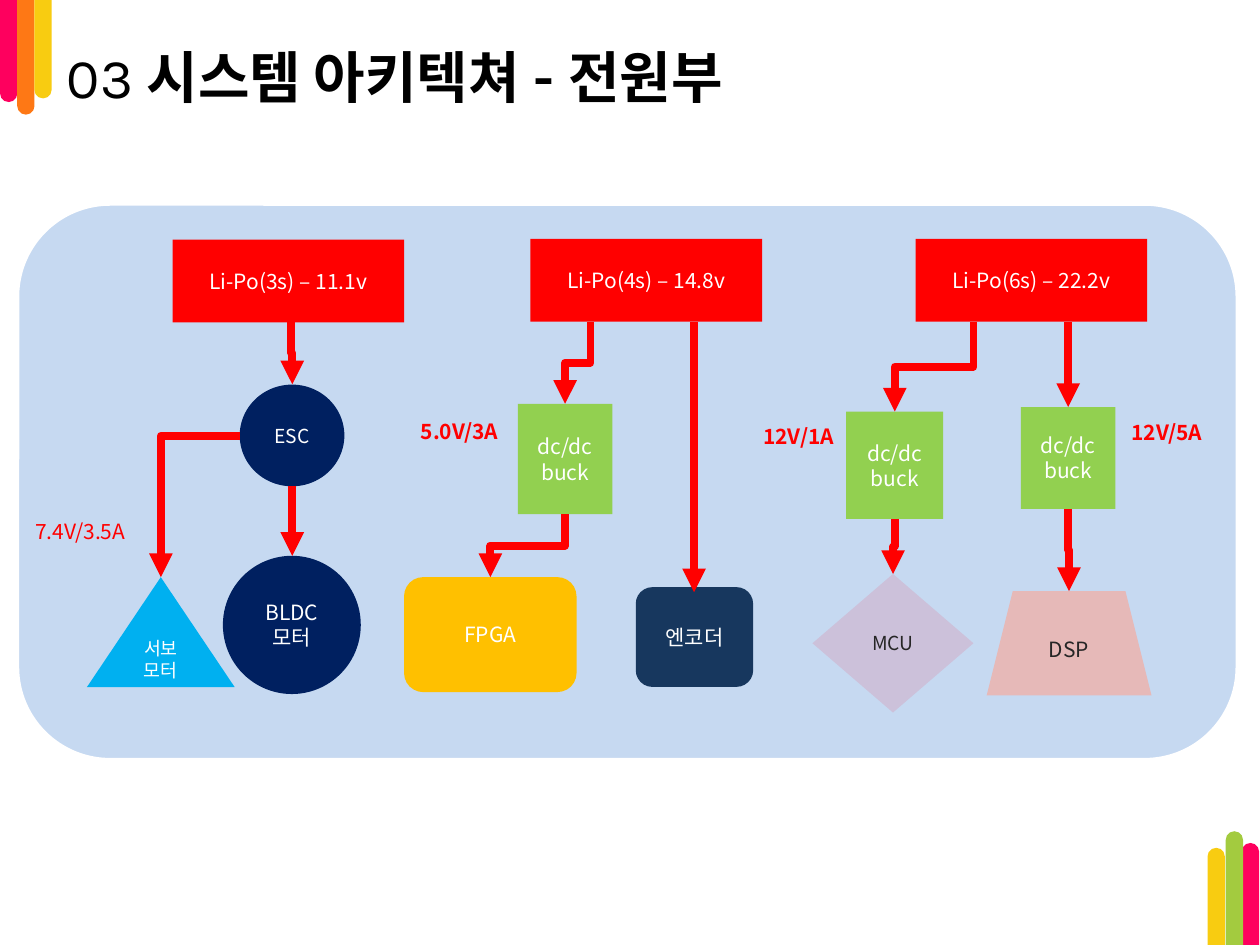
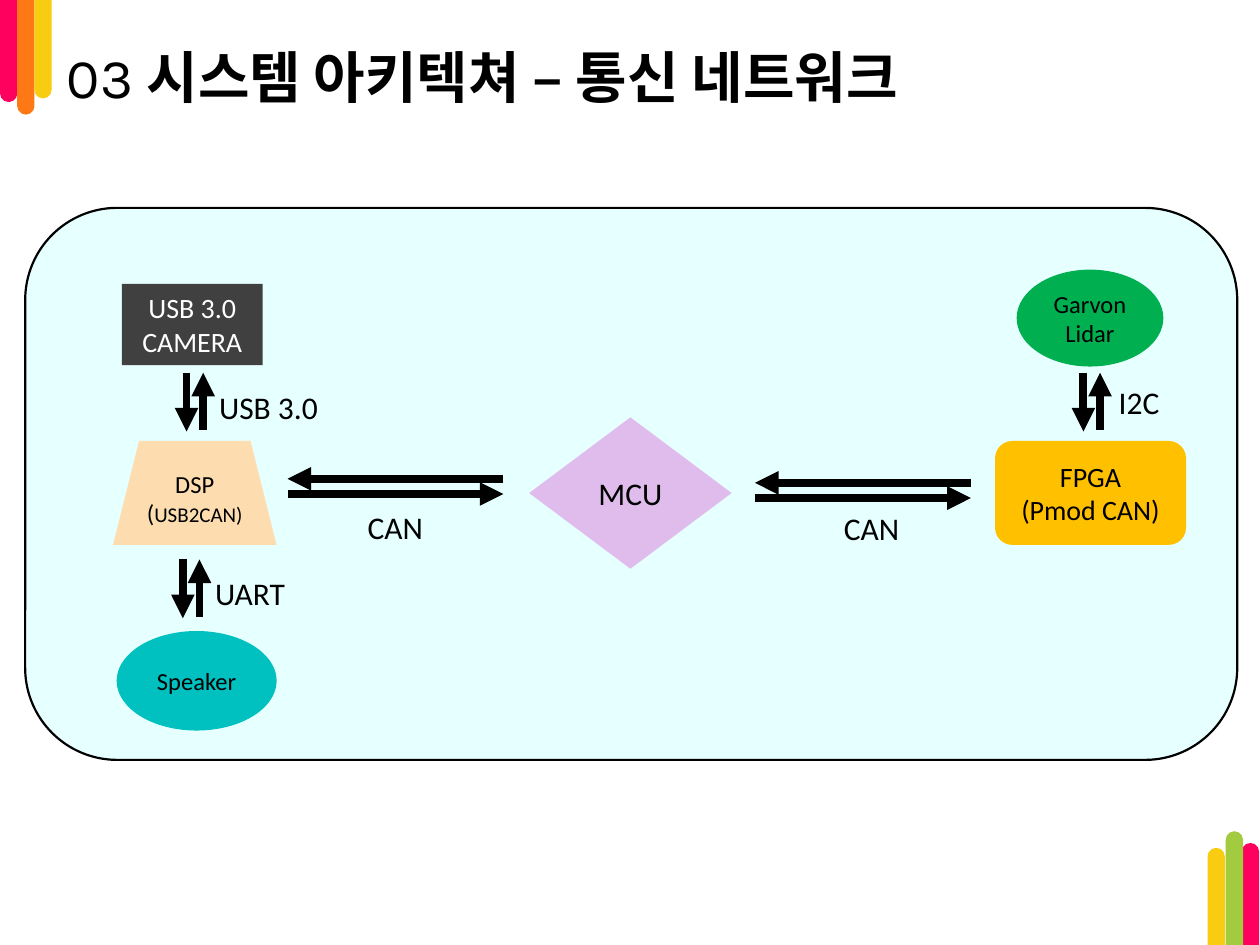
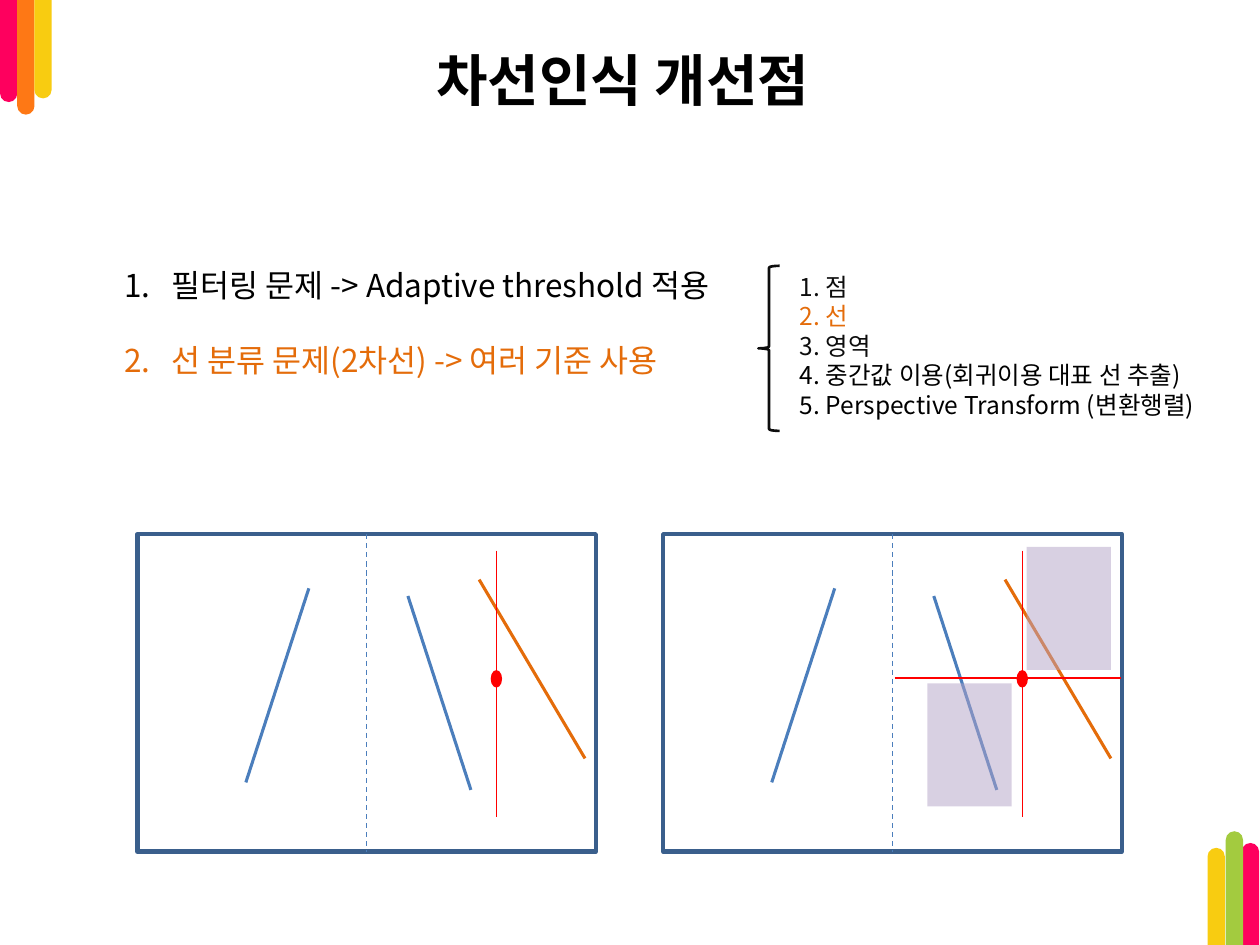
from lxml import etree
from pptx import Presentation
from pptx.dml.color import RGBColor
from pptx.enum.dml import MSO_LINE
from pptx.enum.shapes import MSO_CONNECTOR, MSO_SHAPE
from pptx.enum.text import MSO_ANCHOR, MSO_AUTO_SIZE, PP_ALIGN
from pptx.oxml.ns import qn
from pptx.util import Pt

RECT = MSO_SHAPE.RECTANGLE
ROUND = MSO_SHAPE.ROUNDED_RECTANGLE
OVAL = MSO_SHAPE.OVAL
DIAMOND = MSO_SHAPE.DIAMOND
TRAPEZOID = MSO_SHAPE.TRAPEZOID
TRIANGLE = MSO_SHAPE.ISOSCELES_TRIANGLE
BRACE = MSO_SHAPE.LEFT_BRACE
BAR = MSO_SHAPE.ROUND_2_SAME_RECTANGLE
STRAIGHT, ELBOW = MSO_CONNECTOR.STRAIGHT, MSO_CONNECTOR.ELBOW
DASH = MSO_LINE.DASH
LEFT, CENTER = PP_ALIGN.LEFT, PP_ALIGN.CENTER
MIDDLE = MSO_ANCHOR.MIDDLE
TOP_SIDE, BOTTOM_SIDE = 0, 2

BLACK = RGBColor(0x00, 0x00, 0x00)
WHITE = RGBColor(0xFF, 0xFF, 0xFF)
INK = RGBColor(0x0D, 0x0D, 0x0D)
CHARCOAL = RGBColor(0x26, 0x26, 0x26)
GRAPHITE = RGBColor(0x40, 0x40, 0x40)
RED = RGBColor(0xFF, 0x00, 0x00)
PINK = RGBColor(0xFE, 0x00, 0x5E)
ORANGE = RGBColor(0xFE, 0x78, 0x15)
YELLOW = RGBColor(0xF8, 0xCC, 0x11)
LIME = RGBColor(0xA3, 0xCB, 0x3F)
RUST = RGBColor(0xE4, 0x6C, 0x0A)
NAVY = RGBColor(0x00, 0x20, 0x60)
DEEP_BLUE = RGBColor(0x17, 0x37, 0x5E)
FRAME_BLUE = RGBColor(0x3A, 0x5F, 0x8C)
LANE_BLUE = RGBColor(0x4B, 0x7E, 0xBC)
PALE_BLUE = RGBColor(0xC6, 0xD9, 0xF1)
PALE_CYAN = RGBColor(0xE6, 0xFF, 0xFF)
SKY = RGBColor(0x00, 0xB0, 0xF0)
TEAL = RGBColor(0x00, 0xC0, 0xC0)
LEAF = RGBColor(0x92, 0xD0, 0x50)
GREEN = RGBColor(0x00, 0xB0, 0x50)
AMBER = RGBColor(0xFF, 0xC0, 0x00)
PEACH = RGBColor(0xFD, 0xDD, 0xB0)
ROSE = RGBColor(0xE6, 0xB9, 0xB8)
LILAC = RGBColor(0xCC, 0xC1, 0xDA)
ORCHID = RGBColor(0xE0, 0xBC, 0xED)
VIOLET = RGBColor(0xB3, 0xA2, 0xC7)

NOTO, CALIBRI, KARLA = "Noto Sans CJK KR", "Calibri", "Karla"

# Corner bars: left, height, colour
BAR_WIDTH = 9.9
TOP_BARS = [(0, 58.3, PINK), (9.8, 65.5, ORANGE), (19.6, 56.2, YELLOW)]
BOTTOM_BARS = [(709.6, 58.3, PINK), (700.4, 65, LIME), (690, 55.5, YELLOW)]

TITLE_PLACE = (31, 20.2, 648, 46)
CENTRED_TITLE_PLACE = (113, 22.3, 486, 46)

# Power page: name, shape, place, fill, text, size, text colour
POWER_PANEL = (10, 116.6, 697, 317.5)
POWER_NODES = [
    ("3s", RECT, (98.6, 136.9, 132.4, 47.3), RED, "Li-Po(3s) – 11.1v", 12, WHITE),
    ("4s", RECT, (303.1, 136.5, 132.4, 47.3), RED, "Li-Po(4s) – 14.8v", 12, WHITE),
    ("6s", RECT, (523.2, 136.5, 132.4, 47.3), RED, "Li-Po(6s) – 22.2v", 12, WHITE),
    ("buck 5V", RECT, (295.9, 230.8, 54, 63), LEAF, "dc/dc buck", 12, WHITE),
    ("buck 1A", RECT, (483.6, 235.2, 55.4, 61.4), LEAF, "dc/dc buck", 12, WHITE),
    ("buck 5A", RECT, (583.4, 232.6, 54, 58.2), LEAF, "dc/dc buck", 12, WHITE),
    ("esc", OVAL, (137, 219.8, 59.8, 58.1), NAVY, "ESC", 11, WHITE),
    ("bldc", OVAL, (127.4, 317.6, 78.8, 79), NAVY, "BLDC 모터", 12, WHITE),
    ("servo", TRIANGLE, (49.7, 329.8, 84.4, 62.8), SKY, "서보 모터", 10.5, WHITE),
    ("fpga", ROUND, (230.9, 329.8, 98.6, 65.7), AMBER, "FPGA", 12, WHITE),
    ("encoder", ROUND, (363.3, 335.5, 67.1, 57), DEEP_BLUE, "엔코더", 12, WHITE),
    ("mcu", DIAMOND, (464.3, 328, 92, 79.2), LILAC, "MCU", 11, CHARCOAL),
    ("dsp", TRAPEZOID, (563.8, 337.8, 94.2, 59.6), ROSE, "DSP", 12, CHARCOAL),
]
# Start x, start y, end x, end y, node joined at its top
POWER_DROPS = [
    (166.3, 183.8, 167, 219.6, None),
    (167, 277.9, 167, 317.6, None),
    (337.4, 183.8, 322.9, 230.8, None),
    (322.9, 293.8, 280.2, 329.8, None),
    (396.6, 184.3, 396.6, 338.4, None),
    (556.3, 183.8, 511.3, 235.2, None),
    (511.3, 296.6, 510.3, 328, None),
    (610.4, 184.3, 610.4, 232.6, "buck 5A"),
    (610.4, 290.8, 610.9, 337.8, None),
]
SERVO_WIRE = (137, 249, 91.9, 329.8)
# Place, text, bold
RATINGS = [
    ((13, 293, 79.9, 21.6), "7.4V/3.5A", False),
    ((233.3, 235.4, 73.4, 21.6), "5.0V/3A", True),
    ((429, 238.3, 64.8, 21.6), "12V/1A", True),
    ((639.4, 236.2, 66.2, 21.6), "12V/5A", True),
]

# Network page: shape, place, fill, paragraphs of (text, size) runs, text colour
NETWORK_PANEL = (14.4, 118.8, 692.6, 315.4)
NETWORK_NODES = [
    (ROUND, (568.6, 252, 109.2, 59.4), AMBER, [[("FPGA", 16)], [("(Pmod CAN)", 16)]], BLACK),
    (OVAL, (581, 154.1, 83.8, 55.4), GREEN, [[("Garvon Lidar", 14)]], BLACK),
    (DIAMOND, (302.4, 238.5, 115.7, 86.5), ORCHID, [[("MCU", 18)]], BLACK),
    (RECT, (69.7, 162.2, 80.4, 46.4), GRAPHITE, [[("USB 3.0 CAMERA", 16)]], WHITE),
    (TRAPEZOID, (64.6, 252, 93.4, 59.4), PEACH,
     [[("DSP", 14)], [("(", 14), ("USB2CAN)", 12)]], BLACK),
    (OVAL, (66.7, 360.6, 91.4, 56.9), TEAL, [[("Speaker", 14)]], BLACK),
]
VERTICAL_LINKS = [(619.1, 213), (106.6, 213), (104.5, 319.7)]
VERTICAL_REACH, VERTICAL_GAP = 33.6, 9.5
HORIZONTAL_LINKS = [(164.3, 273.6), (431.4, 275.9)]
HORIZONTAL_REACH, HORIZONTAL_GAP = 123.4, 8.7
LINK_LABELS = [
    ((632.2, 215.3, 44, 24.5), "I2C"),
    ((475.2, 287.3, 105, 24.5), "CAN"),
    ((203, 286.6, 105, 24.5), "CAN"),
    ((118.1, 218.2, 94.3, 28.8), "USB 3.0"),
    ((115.9, 324.7, 62.6, 24.5), "UART"),
]

# Lane page
ISSUES = [
    ("필터링 문제 -> Adaptive threshold 적용", BLACK),
    ("선 분류 문제(2차선) -> 여러 기준 사용", RUST),
]
CRITERIA = [
    ("1. 점", INK),
    ("2. 선", RUST),
    ("3. 영역", INK),
    ("4. 중간값 이용(회귀이용 대표 선 추출)", BLACK),
    ("5. Perspective Transform (변환행렬)", BLACK),
]
FRAME_LEFTS = [78.5, 379]
FRAME_TOP, FRAME_WIDTH, FRAME_HEIGHT = 305.3, 262, 181.4
# Offsets from the frame corner, colour, width
LANE_LINES = [
    ((98, 30.9, 62, 141.8), LANE_BLUE, 1.75),
    ((154.6, 35.3, 190.6, 146.1), LANE_BLUE, 1.75),
    ((195.3, 25.9, 255.8, 128.1), RUST, 1.75),
    ((205.2, 9.3, 205.2, 161.3), RED, 0.75),
]
CENTRE_DOT = (201.9, 77.6, 6.5, 10)
CROSS_LINE = (132.2, 82.1, 261.8, 82.1)
REGIONS = [(207.6, 7.2, 48.2, 70.4), (151, 85.2, 48.2, 70.4)]


def points(values):
    return [Pt(value) for value in values]


def shift(place, left, top):
    return (place[0] + left, place[1] + top, *place[2:])


def add_span(para, text, size, color, font, bold=False):
    span = para.add_run()
    span.text = text
    span.font.size = Pt(size)
    span.font.bold = bold
    span.font.color.rgb = color
    span.font.name = font
    east_asian = etree.SubElement(span._r.get_or_add_rPr(), qn("a:ea"))
    east_asian.set("typeface", NOTO)


def next_para(frame, index):
    return frame.paragraphs[0] if index == 0 else frame.add_paragraph()


def write(frame, paras, color, font, align=LEFT, bold=False):
    """Fill a frame from paragraphs, each a list of (text, size) runs."""
    frame.word_wrap = True
    for index, runs in enumerate(paras):
        para = next_para(frame, index)
        para.alignment = align
        for text, size in runs:
            add_span(para, text, size, color, font, bold)


def add_box(page, kind, place, fill=None, line=None, width=1):
    box = page.shapes.add_shape(kind, *points(place))
    box.shadow.inherit = False
    if fill is None:
        box.fill.background()
    else:
        box.fill.solid()
        box.fill.fore_color.rgb = fill
    if line is None:
        box.line.fill.background()
    else:
        box.line.color.rgb = line
        box.line.width = Pt(width)
    return box


def add_node(page, kind, place, fill, paras, color, font):
    node = add_box(page, kind, place, fill)
    node.text_frame.vertical_anchor = MIDDLE
    write(node.text_frame, paras, color, font, CENTER)
    return node


def add_label(page, place, text, size, color, font, bold=False):
    label = page.shapes.add_textbox(*points(place))
    write(label.text_frame, [[(text, size)]], color, font, bold=bold)


def add_line(page, ends, color, width, kind=STRAIGHT, arrow=False, dash=None):
    line = page.shapes.add_connector(kind, *points(ends))
    line.line.color.rgb = color
    line.line.width = Pt(width)
    if dash:
        line.line.dash_style = dash
    properties = line.element.spPr
    if arrow:
        tail = etree.SubElement(properties.find(qn("a:ln")), qn("a:tailEnd"))
        tail.set("type", "triangle")
    etree.SubElement(properties, qn("a:effectLst"))
    return line


def turn(line, degrees):
    line.element.spPr.find(qn("a:xfrm")).set("rot", str(degrees * 60000))


def add_drop(page, x1, y1, x2, y2):
    """Arrow that leaves downwards, with an elbow halfway if the ends are not aligned."""
    if x1 == x2:
        return add_line(page, (x1, y1, x2, y2), RED, 4.5, arrow=True)
    run, rise = y2 - y1, abs(x2 - x1)
    left, top = (x1 + x2 - run) / 2, (y1 + y2 - rise) / 2
    start, end, angle = (left, left + run, 90) if x2 < x1 else (left + run, left, 270)
    line = add_line(page, (start, top, end, top + rise), RED, 4.5, ELBOW, arrow=True)
    turn(line, angle)
    return line


def add_corner_bars(page, layout):
    """Draw the bars, then hand them to the layout that all pages share."""
    bars = [(left, 0, height, color, 180) for left, height, color in TOP_BARS]
    bars += [(left, 540 - height, height, color, 0) for left, height, color in BOTTOM_BARS]
    for left, top, height, color, angle in bars:
        bar = add_box(page, BAR, (left, top, BAR_WIDTH, height), color)
        bar.adjustments[0] = 0.5
        bar.rotation = angle
        layout.shapes.element.append(bar.element)


def add_page(deck, place, title, number=None, align=LEFT):
    page = deck.slides.add_slide(deck.slide_layouts[5])
    box = page.shapes.title
    box.left, box.top, box.width, box.height = points(place)
    frame = box.text_frame
    frame.word_wrap = True
    frame.auto_size = MSO_AUTO_SIZE.NONE
    frame.vertical_anchor = MIDDLE
    para = frame.paragraphs[0]
    para.alignment = align
    if number:
        add_span(para, number + " ", 32, BLACK, KARLA)
    add_span(para, title, 32, BLACK, KARLA, True)
    return page


def build_power(deck):
    page = add_page(deck, TITLE_PLACE, "시스템 아키텍쳐 - 전원부", "03")
    add_box(page, ROUND, POWER_PANEL, PALE_BLUE, WHITE, 2)
    nodes = {}
    for name, kind, place, fill, text, size, color in POWER_NODES:
        nodes[name] = add_node(page, kind, place, fill, [[(text, size)]], color, NOTO)
    for *ends, target in POWER_DROPS:
        drop = add_drop(page, *ends)
        if target:
            drop.end_connect(nodes[target], TOP_SIDE)
    x1, y1, x2, y2 = SERVO_WIRE
    wire = add_line(page, (x2, y2, x1, y1), RED, 4.5, ELBOW, arrow=True)
    wire.element.spPr.find(qn("a:prstGeom")).set("prst", "bentConnector2")
    turn(wire, 180)
    for place, text, bold in RATINGS:
        add_label(page, place, text, 12, RED, NOTO, bold)
    return page


def build_network(deck):
    page = add_page(deck, TITLE_PLACE, "시스템 아키텍쳐 – 통신 네트워크", "03")
    add_box(page, ROUND, NETWORK_PANEL, PALE_CYAN, BLACK, 1.25)
    for node in NETWORK_NODES:
        add_node(page, *node, CALIBRI)
    arrows = []
    for x, y in VERTICAL_LINKS:
        back, end = x + VERTICAL_GAP, y + VERTICAL_REACH
        arrows += [(x, y, x, end), (back, end - 1, back, y)]
    for x, y in HORIZONTAL_LINKS:
        back, end = y + HORIZONTAL_GAP, x + HORIZONTAL_REACH
        arrows += [(end, y, x, y), (x, back, end, back)]
    for ends in arrows:
        add_line(page, ends, BLACK, 4.5, arrow=True)
    for place, text in LINK_LABELS:
        add_label(page, place, text, 18, BLACK, CALIBRI)


def add_issues(page):
    box = page.shapes.add_textbox(*points((64, 126.7, 592.6, 94.3)))
    box.text_frame.word_wrap = True
    for index, (text, color) in enumerate(ISSUES):
        para = next_para(box.text_frame, index)
        para.line_spacing = 2.0
        properties = para._p.get_or_add_pPr()
        properties.set("marL", str(Pt(27)))
        properties.set("indent", str(-Pt(27)))
        number = etree.SubElement(properties, qn("a:buAutoNum"))
        number.set("type", "arabicPeriod")
        add_span(para, text, 18, color, NOTO)


def add_criteria(page):
    box = page.shapes.add_textbox(*points((450, 151.9, 264.2, 92.2)))
    box.text_frame.word_wrap = True
    for index, (text, color) in enumerate(CRITERIA):
        add_span(next_para(box.text_frame, index), text, 14, color, NOTO)
    add_box(page, BRACE, (433.4, 151.9, 12.2, 94.3), None, INK, 1.5)


def add_lane_view(page, left):
    place = (left, FRAME_TOP, FRAME_WIDTH, FRAME_HEIGHT)
    frame = add_box(page, RECT, place, None, FRAME_BLUE, 2.5)
    for (x1, y1, x2, y2), color, width in LANE_LINES:
        ends = (left + x1, FRAME_TOP + y1, left + x2, FRAME_TOP + y2)
        add_line(page, ends, color, width)
    add_box(page, OVAL, shift(CENTRE_DOT, left, FRAME_TOP), RED)
    middle = left + FRAME_WIDTH / 2
    ends = (middle, FRAME_TOP, middle, FRAME_TOP + FRAME_HEIGHT)
    divider = add_line(page, ends, LANE_BLUE, 0.75, dash=DASH)
    divider.begin_connect(frame, TOP_SIDE)
    divider.end_connect(frame, BOTTOM_SIDE)


def add_regions(page, left):
    x1, y1, x2, y2 = CROSS_LINE
    add_line(page, (left + x1, FRAME_TOP + y1, left + x2, FRAME_TOP + y2), RED, 0.75)
    for place in REGIONS:
        region = add_box(page, RECT, shift(place, left, FRAME_TOP), VIOLET)
        color = region.element.spPr.find(qn("a:solidFill"))[0]
        etree.SubElement(color, qn("a:alpha")).set("val", "50000")


def build_lanes(deck):
    page = add_page(deck, CENTRED_TITLE_PLACE, "차선인식 개선점", align=CENTER)
    add_issues(page)
    add_criteria(page)
    for left in FRAME_LEFTS:
        add_lane_view(page, left)
    add_regions(page, FRAME_LEFTS[-1])


def main():
    deck = Presentation()
    deck.slide_width, deck.slide_height = Pt(720), Pt(540)
    first_page = build_power(deck)
    add_corner_bars(first_page, first_page.slide_layout)
    build_network(deck)
    build_lanes(deck)
    deck.save("out.pptx")


if __name__ == "__main__":
    main()
